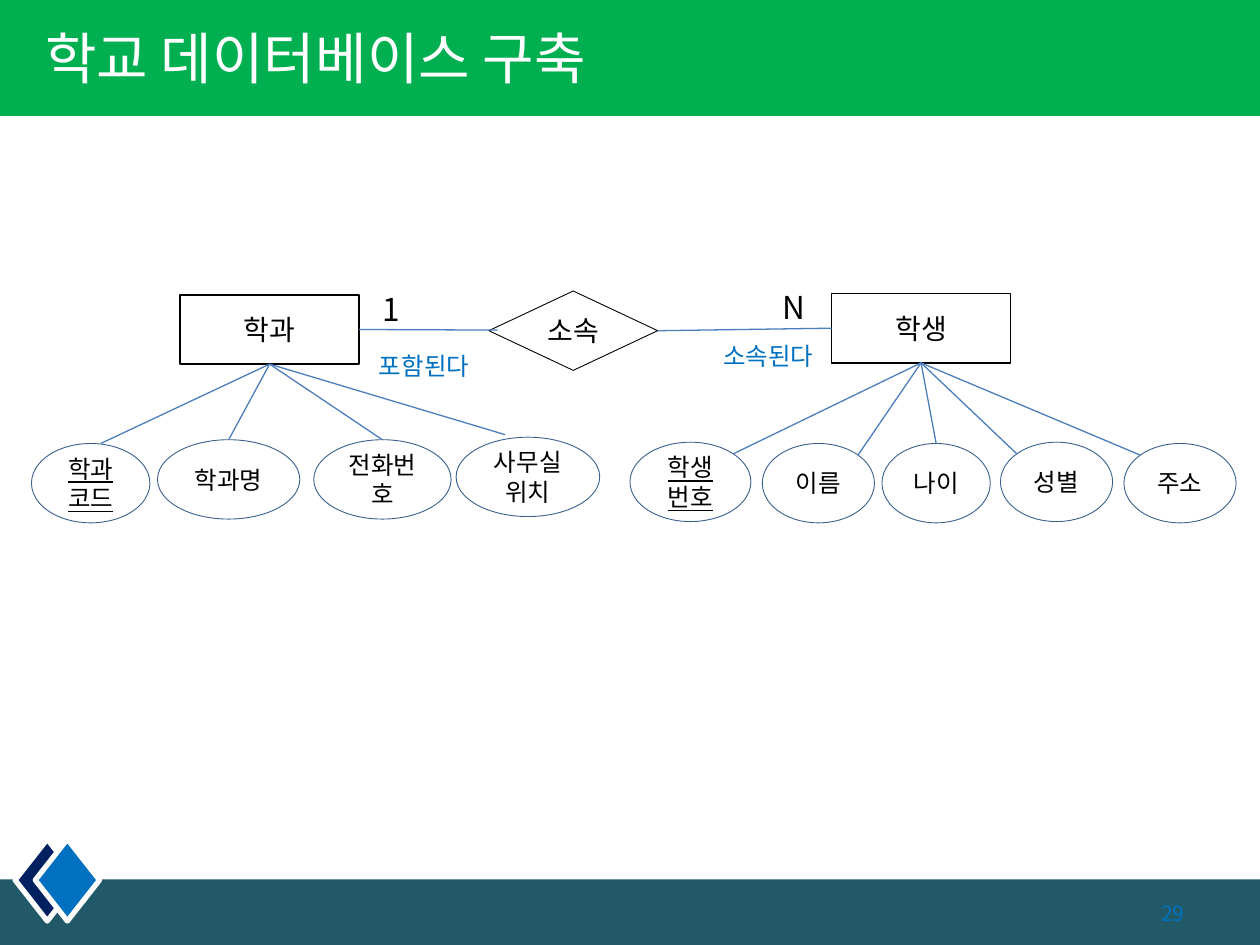
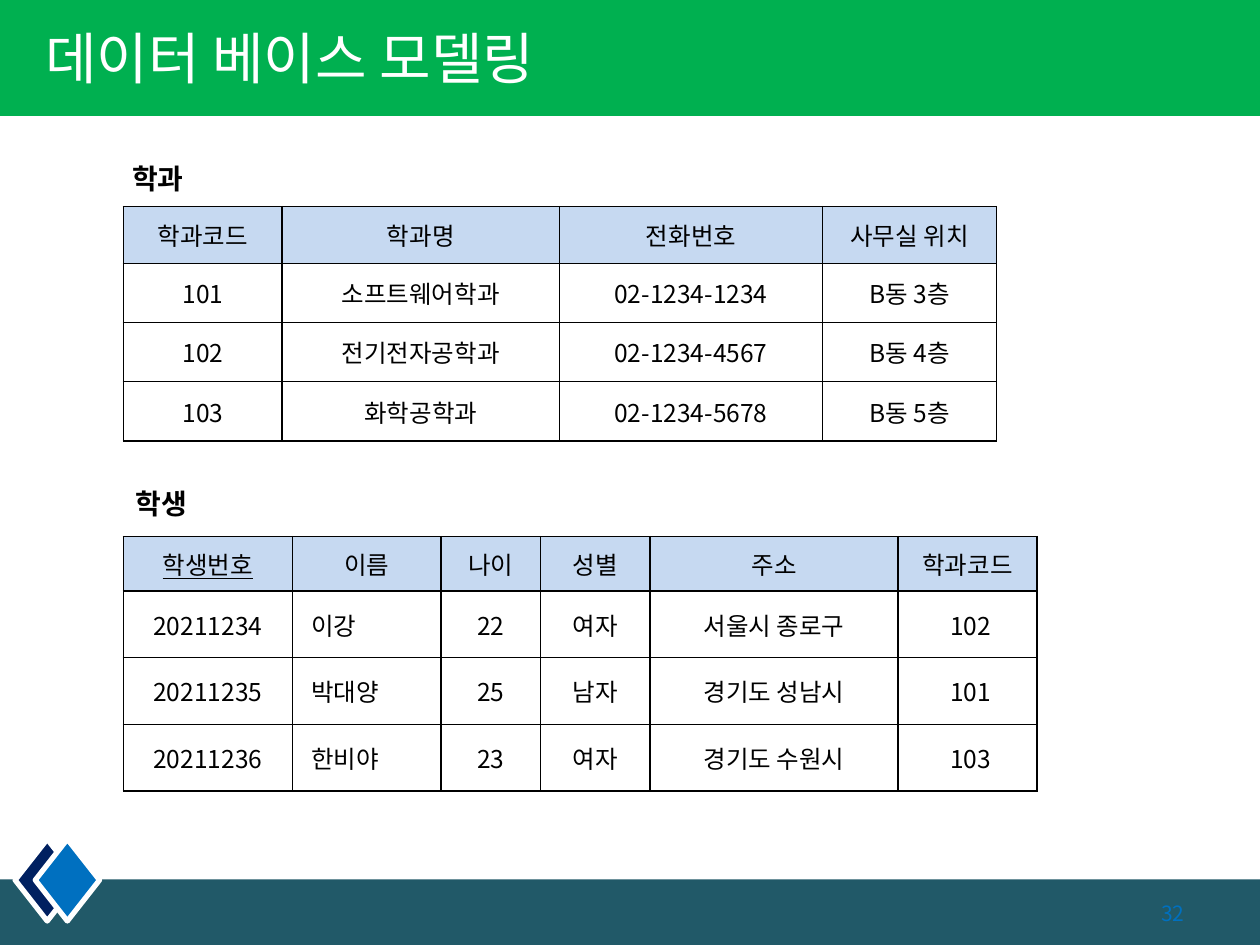
from dataclasses import dataclass
from math import sqrt
from typing import Optional

from lxml import etree
from pptx import Presentation
from pptx import util as u
from pptx.dml.color import RGBColor
from pptx.enum import shapes, text
from pptx.oxml import ns


@dataclass(frozen=True)
class Theme:
    font: str = "Noto Sans CJK KR"
    black: str = "000000"
    white: str = "FFFFFF"
    title_band: str = "00B050"
    footer_band: str = "215968"
    navy: str = "002060"
    blue: str = "0070C0"
    attribute_line: str = "3A5F8C"
    link: str = "4B7EBC"
    header_fill: str = "C6D9F1"
    title_size: int = 32
    cardinality_size: int = 18
    entity_size: int = 16
    body_size: int = 14
    number_size: int = 12


THEME = Theme()


@dataclass(frozen=True)
class Box:
    left: float
    top: float
    width: float
    height: float

    def inches(self) -> list:
        return [u.Inches(value) for value in (self.left, self.top, self.width, self.height)]


@dataclass(frozen=True)
class Style:
    size: int
    color: str = THEME.black
    bold: bool = False
    underline: bool = False
    align: text.PP_ALIGN = text.PP_ALIGN.LEFT


@dataclass(frozen=True)
class Attribute:
    label: str
    left: float
    top: float
    width: float
    lean: int = 0
    line_end: Optional[tuple] = None
    key: bool = False


@dataclass(frozen=True)
class Entity:
    label: str
    box: Box
    attributes: tuple


@dataclass(frozen=True)
class Label:
    caption: str
    box: Box
    style: Style


@dataclass(frozen=True)
class Table:
    caption: Label
    left: float
    top: float
    columns: tuple
    header_height: float
    row_height: float
    rows: tuple
    key_column: Optional[int] = None
    left_column: Optional[int] = None
    indented_columns: tuple = ()


ATTRIBUTE_HEIGHT = 0.63
TITLE_INDENT = 0.36
CELL_INDENT = 0.15
CENTER = text.PP_ALIGN.CENTER
SHAPE = shapes.MSO_SHAPE
VERB = Style(THEME.body_size, THEME.blue)
CARDINALITY = Style(THEME.cardinality_size)
CAPTION = Style(THEME.entity_size, bold=True)
ENTITY = Style(THEME.entity_size, align=CENTER)

DEPARTMENT = Entity("학과", Box(1.43, 2.34, 1.42, 0.55), (
    Attribute("학과\n코드", 0.25, 3.52, 0.94, line_end=(0.8, 3.52), key=True),
    Attribute("학과명", 1.25, 3.49, 1.13),
    Attribute("전화번호", 2.49, 3.49, 1.09),
    Attribute("사무실위치", 3.62, 3.47, 1.14, line_end=(4.01, 3.45)),
))
STUDENT = Entity("학생", Box(6.6, 2.33, 1.42, 0.55), (
    Attribute("학생번호", 5, 3.51, 0.96, lean=1, key=True),
    Attribute("이름", 6.05, 3.52, 0.89, lean=1),
    Attribute("나이", 7, 3.52, 0.86),
    Attribute("성별", 7.94, 3.51, 0.89, lean=-1),
    Attribute("주소", 8.92, 3.52, 0.89, lean=-1),
))
RELATION_LABELS = (
    Label("포함된다", Box(2.91, 2.74, 1.04, 0.34), VERB),
    Label("소속된다", Box(5.64, 2.66, 1.04, 0.34), VERB),
    Label("1", Box(2.94, 2.25, 0.39, 0.4), CARDINALITY),
    Label("N", Box(6.11, 2.24, 0.39, 0.4), CARDINALITY),
)
TABLES = (
    Table(
        Label("학과", Box(0.95, 1.23, 0.75, 0.37), CAPTION),
        0.98, 1.64, (1.26, 2.2, 2.09, 1.38), 0.45, 0.47,
        (
            ("학과코드", "학과명", "전화번호", "사무실 위치"),
            ("101", "소프트웨어학과", "02-1234-1234", "B동 3층"),
            ("102", "전기전자공학과", "02-1234-4567", "B동 4층"),
            ("103", "화학공학과", "02-1234-5678", "B동 5층"),
        ),
    ),
    Table(
        Label("학생", Box(0.98, 3.81, 0.75, 0.37), CAPTION),
        0.98, 4.26, (1.34, 1.18, 0.79, 0.87, 1.97, 1.1), 0.43, 0.53,
        (
            ("학생번호", "이름", "나이", "성별", "주소", "학과코드"),
            ("20211234", "이강", "22", "여자", "서울시 종로구", "102"),
            ("20211235", "박대양", "25", "남자", "경기도 성남시", "101"),
            ("20211236", "한비야", "23", "여자", "경기도 수원시", "103"),
        ),
        key_column=0, left_column=1, indented_columns=(1, 5),
    ),
)


def write(frame, content: str, style: Style) -> None:
    frame.text = content
    frame.word_wrap = True
    for paragraph in frame.paragraphs:
        paragraph.alignment = style.align
        font = paragraph.font
        font.name = THEME.font
        font.size = u.Pt(style.size)
        font.bold = style.bold
        font.underline = style.underline
        font.color.rgb = RGBColor.from_string(style.color)
        defaults = paragraph._p.pPr.find(ns.qn("a:defRPr"))
        etree.SubElement(defaults, ns.qn("a:ea")).set("typeface", THEME.font)


def add_figure(slide, kind, box: Box, fill: Optional[str] = None,
               line: Optional[str] = None, width: float = 1):
    shape = slide.shapes.add_shape(kind, *box.inches())
    shape.shadow.inherit = False
    if fill:
        shape.fill.solid()
        shape.fill.fore_color.rgb = RGBColor.from_string(fill)
    else:
        shape.fill.background()
    if line:
        shape.line.color.rgb = RGBColor.from_string(line)
        shape.line.width = u.Pt(width)
    else:
        shape.line.fill.background()
    return shape


def add_node(slide, kind, box: Box, content: str, style: Style, line: str, width: float):
    shape = add_figure(slide, kind, box, line=line, width=width)
    write(shape.text_frame, content, style)
    shape.text_frame.vertical_anchor = text.MSO_ANCHOR.MIDDLE
    return shape


def add_label(slide, label: Label):
    shape = slide.shapes.add_textbox(*label.box.inches())
    write(shape.text_frame, label.caption, label.style)
    return shape


def add_link(slide, start, start_side: int, end=None, end_side: int = 0,
             end_point: tuple = (0, 0)) -> None:
    x, y = (u.Inches(value) for value in end_point)
    connector = slide.shapes.add_connector(shapes.MSO_CONNECTOR.STRAIGHT, 0, 0, x, y)
    connector.begin_connect(start, start_side)
    if end is not None:
        connector.end_connect(end, end_side)
    connector.line.color.rgb = RGBColor.from_string(THEME.link)
    connector.line.width = u.Pt(0.75)
    etree.SubElement(connector._element.spPr, ns.qn("a:effectLst"))


def add_entity(slide, entity: Entity):
    rectangle = add_node(slide, SHAPE.RECTANGLE, entity.box, entity.label, ENTITY, THEME.black, 1)
    for attribute in entity.attributes:
        box = Box(attribute.left, attribute.top, attribute.width, ATTRIBUTE_HEIGHT)
        style = Style(THEME.body_size, underline=attribute.key, align=CENTER)
        ellipse = add_node(slide, SHAPE.OVAL, box, attribute.label, style,
                           THEME.attribute_line, 0.5)
        if attribute.line_end:
            add_link(slide, rectangle, 2, end_point=attribute.line_end)
        elif attribute.lean:
            x = box.left + box.width / 2 * (1 + attribute.lean / sqrt(2))
            y = box.top + box.height / 2 * (1 - 1 / sqrt(2))
            add_link(slide, rectangle, 2, end_point=(x, y))
        else:
            add_link(slide, rectangle, 2, ellipse, 0)
    return rectangle


def border_cell(cell) -> None:
    properties = cell._tc.get_or_add_tcPr()
    for index, side in enumerate(("lnL", "lnR", "lnT", "lnB")):
        line = etree.Element(ns.qn(f"a:{side}"), w=str(u.Pt(1)))
        fill = etree.SubElement(line, ns.qn("a:solidFill"))
        etree.SubElement(fill, ns.qn("a:srgbClr"), val=THEME.black)
        properties.insert(index, line)


def add_table(slide, data: Table) -> None:
    add_label(slide, data.caption)
    heights = [data.header_height] + [data.row_height] * (len(data.rows) - 1)
    box = Box(data.left, data.top, sum(data.columns), sum(heights))
    table = slide.shapes.add_table(len(heights), len(data.columns), *box.inches()).table
    table.first_row = table.horz_banding = False
    for column, width in zip(table.columns, data.columns):
        column.width = u.Inches(width)
    for row_index, (height, values) in enumerate(zip(heights, data.rows)):
        table.rows[row_index].height = u.Inches(height)
        is_header = row_index == 0
        for column_index, value in enumerate(values):
            cell = table.cell(row_index, column_index)
            is_left = not is_header and column_index == data.left_column
            write(cell.text_frame, value, Style(
                THEME.body_size,
                underline=is_header and column_index == data.key_column,
                align=text.PP_ALIGN.LEFT if is_left else CENTER,
            ))
            cell.vertical_anchor = text.MSO_ANCHOR.MIDDLE
            if is_header:
                cell.fill.solid()
                cell.fill.fore_color.rgb = RGBColor.from_string(THEME.header_fill)
            else:
                cell.fill.background()
                if column_index in data.indented_columns:
                    cell.margin_left = u.Inches(CELL_INDENT)
            border_cell(cell)


def add_base_slide(presentation, title: str, number: int):
    slide = presentation.slides.add_slide(presentation.slide_layouts[6])
    add_figure(slide, SHAPE.RECTANGLE, Box(0, 6.98, 10, 0.52), THEME.footer_band)
    for left, color in ((0.12, THEME.navy), (0.28, THEME.blue)):
        add_figure(slide, SHAPE.DIAMOND, Box(left, 6.66, 0.51, 0.65), color, THEME.white, 3)
    add_figure(slide, SHAPE.RECTANGLE, Box(0, 0, 10, 0.92), THEME.title_band)
    heading = add_label(slide, Label(title, Box(0, 0, 7.91, 0.9),
                                     Style(THEME.title_size, THEME.white)))
    heading.text_frame.margin_left = u.Inches(TITLE_INDENT)
    page = add_label(slide, Label(str(number), Box(8.5, 7.05, 1, 0.4), Style(
        THEME.number_size, THEME.blue, align=text.PP_ALIGN.RIGHT)))
    for shape in (heading, page):
        shape.text_frame.vertical_anchor = text.MSO_ANCHOR.MIDDLE
    return slide


def build_diagram_slide(presentation) -> None:
    slide = add_base_slide(presentation, "학교 데이터베이스 구축", 29)
    department = add_entity(slide, DEPARTMENT)
    student = add_entity(slide, STUDENT)
    relation = add_node(slide, SHAPE.DIAMOND, Box(3.88, 2.31, 1.34, 0.63), "소속",
                        ENTITY, THEME.black, 0.5)
    add_link(slide, department, 3, end_point=(3.95, 2.62))
    add_link(slide, relation, 3, student, 1)
    for label in RELATION_LABELS:
        add_label(slide, label)


def build_table_slide(presentation) -> None:
    slide = add_base_slide(presentation, "데이터 베이스 모델링", 32)
    for data in TABLES:
        add_table(slide, data)


def main() -> None:
    presentation = Presentation()
    presentation.slide_width = u.Inches(10)
    presentation.slide_height = u.Inches(7.5)
    build_diagram_slide(presentation)
    build_table_slide(presentation)
    presentation.save("out.pptx")


if __name__ == "__main__":
    main()
